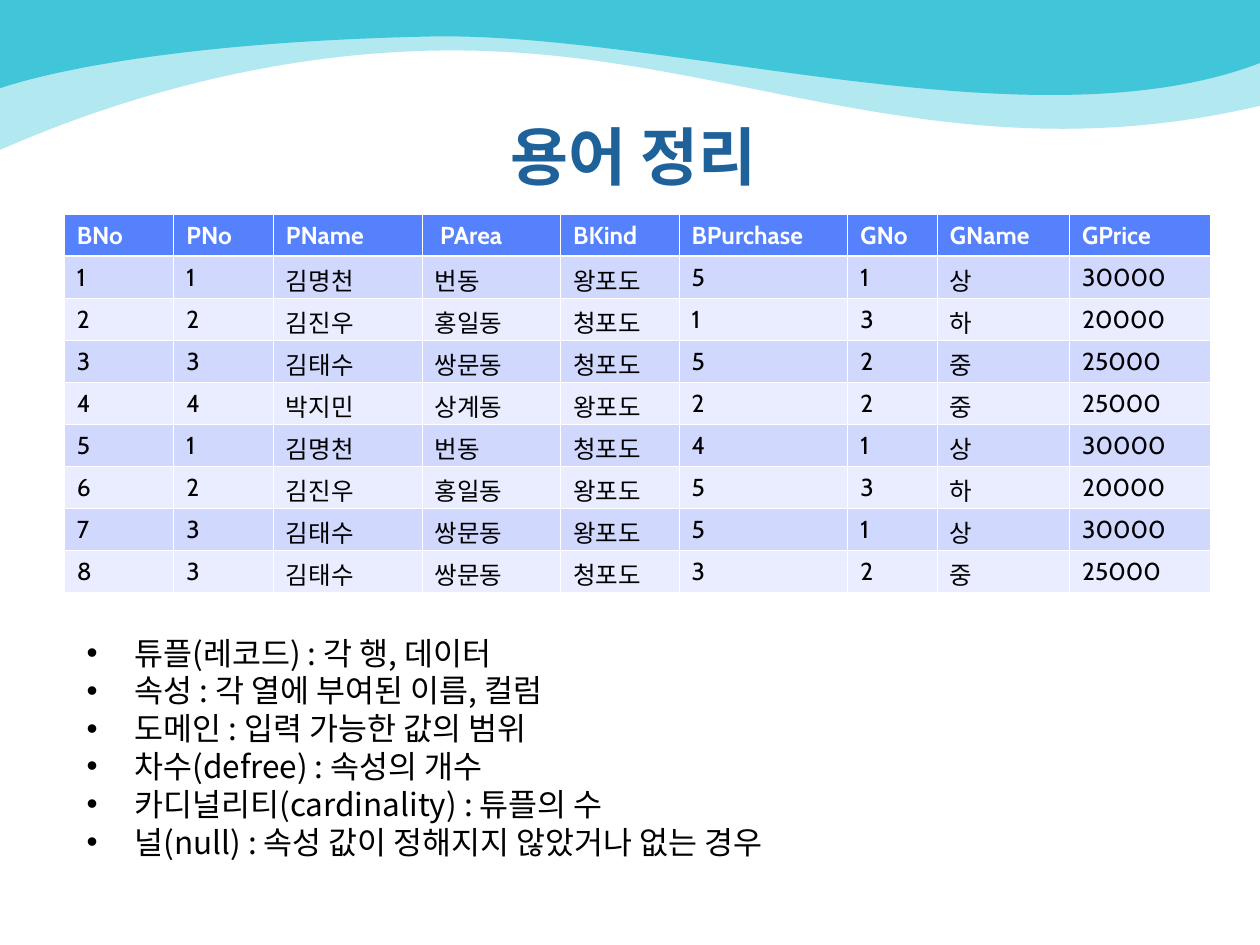
from dataclasses import dataclass

import pptx
import pptx.dml.color
import pptx.enum.text
import pptx.oxml
import pptx.oxml.ns
import pptx.util

Inches = pptx.util.Inches
Pt = pptx.util.Pt
qn = pptx.oxml.ns.qn


@dataclass(frozen=True)
class Theme:
    heading_font: str = "Cabin"
    body_font: str = "Noto Sans CJK KR"
    wave: str = "40C6D8"
    title: str = "1F6299"
    text: str = "000000"
    white: str = "FFFFFF"
    header: str = "5581FD"
    bands: tuple = ("D1D8FE", "E9EDFF")
    title_size: int = 36
    body_size: int = 18
    body_leading: float = 21.6
    table_size: int = 14
    thin: float = 0.45
    thick: float = 1.47
    hangul_drop: float = 0.03


def rgb(value):
    return pptx.dml.color.RGBColor.from_string(value)


def sub(parent, tag, **attrs):
    """Append a DrawingML child element and return it."""
    child = parent.makeelement(qn(tag), attrs)
    parent.append(child)
    return child


class Deck:
    def __init__(self, theme):
        self.theme = theme
        self.prs = pptx.Presentation()
        self.prs.slide_width, self.prs.slide_height = Inches(10), Inches(7.5)
        self.s = self.prs.slides.add_slide(self.prs.slide_layouts[6])

    def style(self, p, font, size, color, bold=False):
        p.font.name = font
        p.font.size = Pt(size)
        p.font.bold = bold
        p.font.color.rgb = rgb(color)
        sub(p.font._element, "a:ea", typeface=font)

    def wave(self, curves, alpha=None):
        """Fill from the top edge down to a chain of cubic curves."""
        points = [(Inches(x), Inches(y)) for curve in curves for x, y in curve]
        builder = self.s.shapes.build_freeform(0, 0)
        builder.add_line_segments(points + [(Inches(10), 0)], close=True)
        sp = builder.convert_to_shape()
        segments = list(sp._element.iter(qn("a:lnTo")))
        for i in range(0, len(points), 3):
            bezier = segments[i].makeelement(qn("a:cubicBezTo"), {})
            segments[i].addprevious(bezier)
            for segment in segments[i:i + 3]:
                bezier.append(segment[0])
                segment.getparent().remove(segment)
        sp.shadow.inherit = False
        sp.line.fill.background()
        sp.fill.solid()
        sp.fill.fore_color.rgb = rgb(self.theme.wave)
        if alpha:
            color = sp._element.spPr.find(qn("a:solidFill"))[0]
            sub(color, "a:alpha", val=str(alpha * 1000))

    def text_frame(self, x, y, w, h):
        sp = self.s.shapes.add_textbox(Inches(x), Inches(y), Inches(w), Inches(h))
        sp.text_frame.word_wrap = True
        return sp.text_frame

    def title(self, text, x, y, w, h):
        tf = self.text_frame(x, y, w, h)
        tf.margin_left = tf.margin_right = tf.margin_bottom = 0
        tf.margin_top = Inches(0.04)
        p = tf.paragraphs[0]
        p.text = text
        p.alignment = pptx.enum.text.PP_ALIGN.CENTER
        self.style(p, self.theme.heading_font, self.theme.title_size, self.theme.title, True)

    def bullets(self, items, x, y, w, h):
        t = self.theme
        tf = self.text_frame(x, y, w, h)
        for i, item in enumerate(items):
            p = tf.add_paragraph() if i else tf.paragraphs[0]
            p.text = item
            p.line_spacing = Pt(t.body_leading)
            pPr = p._p.get_or_add_pPr()
            pPr.set("marL", str(Inches(0.38)))
            pPr.set("indent", str(-Inches(0.38)))
            sub(sub(pPr, "a:buClr"), "a:srgbClr", val=t.text)
            sub(pPr, "a:buFont", typeface="Arial")
            sub(pPr, "a:buChar", char="•")
            self.style(p, t.body_font, t.body_size, t.text)

    def border(self, cell, side, width):
        ln = pptx.oxml.parse_xml(
            f'<a:{side} {pptx.oxml.ns.nsdecls("a")} w="{Pt(width)}"><a:solidFill>'
            f'<a:srgbClr val="{self.theme.white}"/></a:solidFill></a:{side}>')
        cell._tc.get_or_add_tcPr().append(ln)

    def cell(self, cell, text, row):
        t = self.theme
        header = row == 0
        p = cell.text_frame.paragraphs[0]
        p.text = text
        self.style(p, t.heading_font, t.table_size, t.white if header else t.text, header)
        if not text.isascii():
            cell.margin_top = Inches(0.05 + t.hangul_drop)
            cell.margin_bottom = Inches(0.05 - t.hangul_drop)
        self.border(cell, "lnL", t.thin)
        self.border(cell, "lnR", t.thin)
        self.border(cell, "lnT", t.thick if row == 1 else t.thin)
        self.border(cell, "lnB", t.thick if header else t.thin)
        cell.fill.solid()
        cell.fill.fore_color.rgb = rgb(t.header if header else t.bands[(row - 1) % 2])

    def table(self, rows, widths, x, y, h):
        frame = self.s.shapes.add_table(
            len(rows), len(widths), Inches(x), Inches(y), Inches(sum(widths)), Inches(h))
        for column, width in zip(frame.table.columns, widths):
            column.width = Inches(width)
        for i, values in enumerate(rows):
            for j, value in enumerate(values):
                self.cell(frame.table.cell(i, j), value, i)


HEADERS = ["BNo", "PNo", "PName", " PArea", "BKind", "BPurchase", "GNo", "GName", "GPrice"]
PEOPLE = {"1": ("김명천", "번동"), "2": ("김진우", "홍일동"),
          "3": ("김태수", "쌍문동"), "4": ("박지민", "상계동")}
GRADES = {"1": ("상", "30000"), "2": ("중", "25000"), "3": ("하", "20000")}
# person number, grape kind, purchase count, grade number
PURCHASES = [
    ("1", "왕포도", "5", "1"),
    ("2", "청포도", "1", "3"),
    ("3", "청포도", "5", "2"),
    ("4", "왕포도", "2", "2"),
    ("1", "청포도", "4", "1"),
    ("2", "왕포도", "5", "3"),
    ("3", "왕포도", "5", "1"),
    ("3", "청포도", "3", "2"),
]
TERMS = [
    "튜플(레코드) : 각 행, 데이터",
    "속성 : 각 열에 부여된 이름, 컬럼",
    "도메인 : 입력 가능한 값의 범위",
    "차수(defree) : 속성의 개수",
    "카디널리티(cardinality) : 튜플의 수",
    "널(null) : 속성 값이 정해지지 않았거나 없는 경우",
]


def main():
    deck = Deck(Theme())
    deck.wave([((0, 0.47), (0, 0.73), (0, 1.19)),
               ((0.33, 1.05), (1.97, 0.31), (3.96, 0.41)),
               ((5.95, 0.5), (7.62, 1.4), (10, 0.84))], alpha=40)
    deck.wave([((0, 0.28), (0, 0.41), (0, 0.7)),
               ((0.45, 0.55), (1.53, 0.33), (3.41, 0.29)),
               ((5.29, 0.25), (8.2, 1.19), (10, 0.5))])
    deck.title("용어 정리", 0.53, 0.89, 9, 1.25)
    deck.bullets(TERMS, 0.59, 4.98, 8.66, 1.9)
    rows = [HEADERS] + [
        [str(n), person, *PEOPLE[person], kind, count, grade, *GRADES[grade]]
        for n, (person, kind, count, grade) in enumerate(PURCHASES, 1)]
    deck.table(rows, [0.87, 0.79, 1.18, 1.1, 0.94, 1.34, 0.71, 1.05, 1.12], 0.51, 1.7, 3)
    deck.prs.save("out.pptx")


if __name__ == "__main__":
    main()
